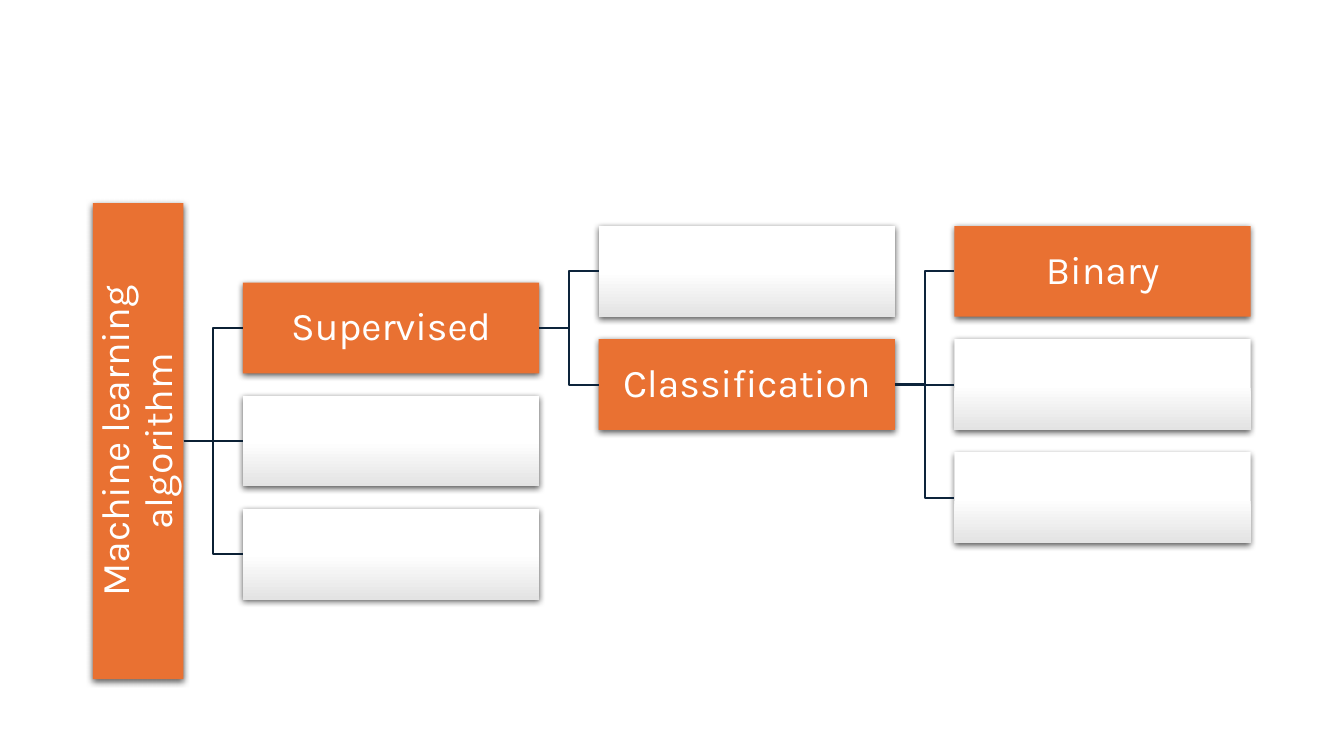
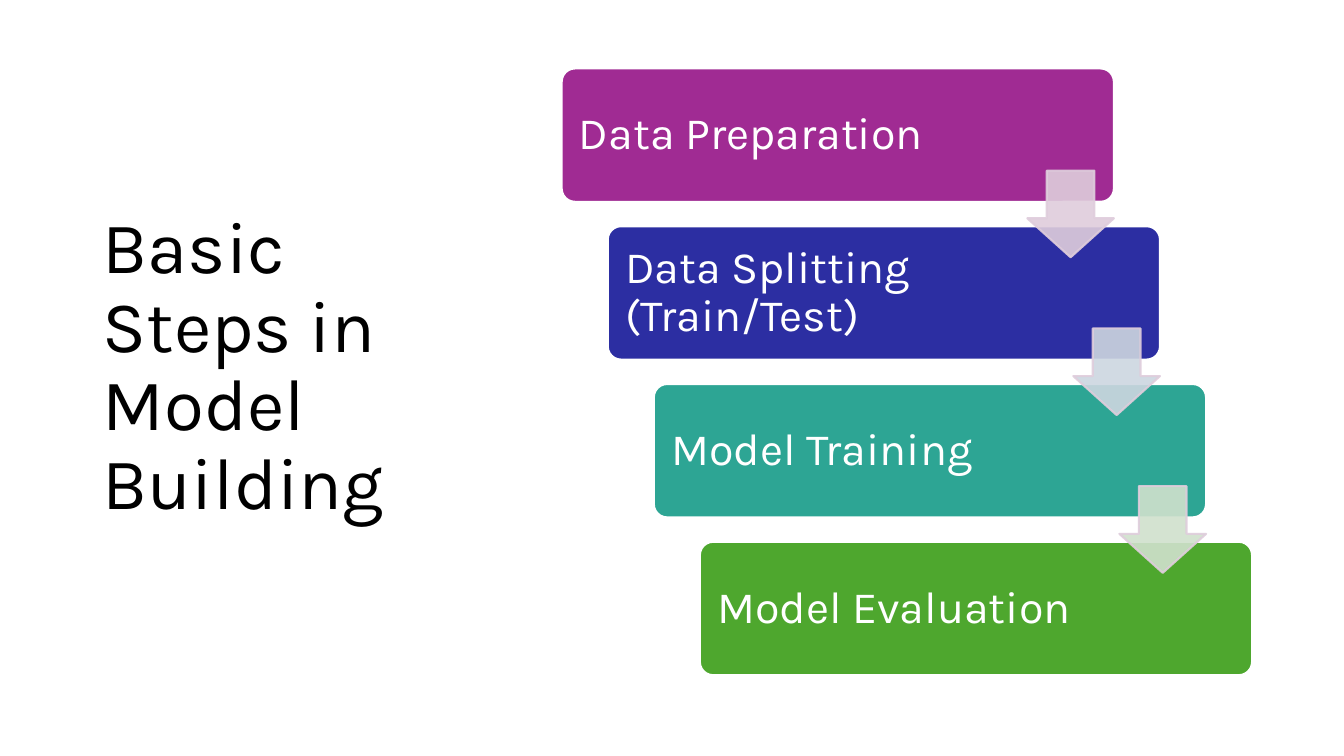
from dataclasses import dataclass

from lxml.etree import SubElement
from pptx import Presentation
from pptx.dml.color import RGBColor
from pptx.enum.shapes import MSO_CONNECTOR, MSO_SHAPE
from pptx.enum.text import MSO_ANCHOR, MSO_AUTO_SIZE, PP_ALIGN
from pptx.oxml.ns import qn
from pptx.util import Pt


# Colours, type and line widths
@dataclass(frozen=True)
class Theme:
    font: str = "Karla"
    title: int = 52
    step: int = 32
    node: int = 28
    rule: float = 1.5
    ink: str = "000000"
    white: str = "FFFFFF"
    grey: str = "E3E3E3"
    pick: str = "E97132"
    links: tuple = ("0B2034", "0D243B", "0D243B")
    edge: str = "DFCDDC"


THEME = Theme()

# Tree: label and children; a box that is not picked is a bare leaf
BARE = (None, [])
TREE = ("Machine learning algorithm", [
    ("Supervised", [
        BARE,
        ("Classification", [("Binary", []), BARE, BARE]),
    ]),
    BARE,
    BARE,
])
NODE_W, NODE_H, ROOT_H = 211.7, 64.8, 340
GAP_X, ROW = 42.4, 80.8

# Steps: label, box colour, colour of the arrow that follows
STEPS = [
    ("Data Preparation", "A02B93", "DFCDDC"),
    ("Data Splitting (Train/Test)", "2C2EA2", "CDD6E0"),
    ("Model Training", "2DA594", "D0E1CD"),
    ("Model Evaluation", "4EA72E", None),
]
STEP_X, STEP_Y, STEP_W, STEP_H = 401.2, 48.9, 394.5, 95.3
MOVE_X, MOVE_Y, ARROW = 32.9, 112.7, 61.9


def rgb(code):
    return RGBColor.from_string(code)


def write(shape, text, size, color, align, pad):
    """Put one styled paragraph in a shape; pad is left, top, right, bottom."""
    frame = shape.text_frame
    frame.text = text
    frame.word_wrap = True
    frame.auto_size = MSO_AUTO_SIZE.NONE
    frame.vertical_anchor = MSO_ANCHOR.MIDDLE
    (frame.margin_left, frame.margin_top,
     frame.margin_right, frame.margin_bottom) = map(Pt, pad)
    para = frame.paragraphs[0]
    para.alignment = align
    para.line_spacing = 0.9
    font = para.runs[0].font
    font.name = THEME.font
    font.size = Pt(size)
    font.color.rgb = rgb(color)


def draw(slide, kind, box, fill=None, line=None):
    """Add a preset shape without the default shadow."""
    shape = slide.shapes.add_shape(kind, *map(Pt, box))
    shape.shadow.inherit = False
    if fill:
        shape.fill.solid()
        shape.fill.fore_color.rgb = rgb(fill)
    if line:
        shape.line.color.rgb = rgb(line)
        shape.line.width = Pt(THEME.rule)
    else:
        shape.line.fill.background()
    return shape


def shade(shape):
    """Fade a shape from white to grey in its lower half."""
    shape.fill.gradient()
    shape.fill.gradient_angle = 270
    stops = shape.fill.gradient_stops
    for stop, place, color in zip(stops, (0.5, 1), (THEME.white, THEME.grey)):
        stop.position = place
        stop.color.rgb = rgb(color)


def lift(shape):
    """Give a shape a soft shadow below it."""
    effects = shape._element.spPr.find(qn("a:effectLst"))
    cast = SubElement(effects, qn("a:outerShdw"), blurRad=str(Pt(4.5)),
                      dist=str(Pt(1.5)), dir="5400000", rotWithShape="0")
    tint = SubElement(cast, qn("a:srgbClr"), val=THEME.ink)
    SubElement(tint, qn("a:alpha"), val="63000")


def thin(shape, share):
    """Make the fill and line of a shape partly clear."""
    for tint in shape._element.spPr.iter(qn("a:srgbClr")):
        SubElement(tint, qn("a:alpha"), val=str(share * 1000))


def join(slide, left, right, color):
    """Link the right side of one box to the left side of another."""
    link = slide.shapes.add_connector(MSO_CONNECTOR.ELBOW, 0, 0, 0, 0)
    link.begin_connect(left, 3)
    link.end_connect(right, 1)
    link.line.color.rgb = rgb(color)
    link.line.width = Pt(THEME.rule)
    SubElement(link._element.spPr, qn("a:effectLst"))


def grow(slide, node, x, mid, depth=0):
    """Draw a node and its children, centred on the node's middle."""
    label, kids = node
    wide, high = (NODE_W, NODE_H) if depth else (NODE_H, ROOT_H)
    box = draw(slide, MSO_SHAPE.RECTANGLE, (x, mid - high / 2, wide, high),
               THEME.pick if label else None)
    lift(box)
    if label:
        write(box, label, THEME.node, THEME.white, PP_ALIGN.CENTER, [1.4] * 4)
    else:
        shade(box)
    if depth == 0:
        box.text_frame._txBody.bodyPr.set("vert", "vert270")
    first = mid - ROW * (len(kids) - 1) / 2
    for row, kid in enumerate(kids):
        child = grow(slide, kid, x + wide + GAP_X, first + row * ROW, depth + 1)
        join(slide, box, child, THEME.links[depth])
    return box


def stairs(slide):
    """Draw the steps, then the arrows that lie over them."""
    spots = [(STEP_X + i * MOVE_X, STEP_Y + i * MOVE_Y)
             for i in range(len(STEPS))]
    for (x, y), (label, color, _) in zip(spots, STEPS):
        box = draw(slide, MSO_SHAPE.ROUNDED_RECTANGLE,
                   (x, y, STEP_W, STEP_H), color, THEME.white)
        box.adjustments[0] = 0.1
        write(box, label, THEME.step, THEME.white, PP_ALIGN.LEFT,
              (9.6, 9, 104, 9))
    for (x, y), (_, _, color) in zip(spots, STEPS):
        if color:
            arrow = draw(slide, MSO_SHAPE.DOWN_ARROW,
                         (x + STEP_W - ARROW, y + 73, ARROW, ARROW),
                         color, THEME.edge)
            arrow.adjustments[0] = 0.55
            arrow.adjustments[1] = 0.45
            thin(arrow, 90)


def head(slide, text, box):
    """Place and style the slide title."""
    title = slide.shapes.title
    title.left, title.top, title.width, title.height = map(Pt, box)
    write(title, text, THEME.title, THEME.ink, PP_ALIGN.LEFT,
          (7.2, 3.6, 7.2, 3.6))


def main():
    deck = Presentation()
    deck.slide_width, deck.slide_height = Pt(960), Pt(540)
    plain, titled = deck.slide_layouts[6], deck.slide_layouts[5]

    # Kinds of algorithm
    grow(deck.slides.add_slide(plain), TREE, 66.3, 315.1)

    # Steps in model building
    slide = deck.slides.add_slide(titled)
    head(slide, "Basic Steps in Model Building", (66.2, 43.6, 265.7, 438.5))
    stairs(slide)

    deck.save("out.pptx")


if __name__ == "__main__":
    main()
